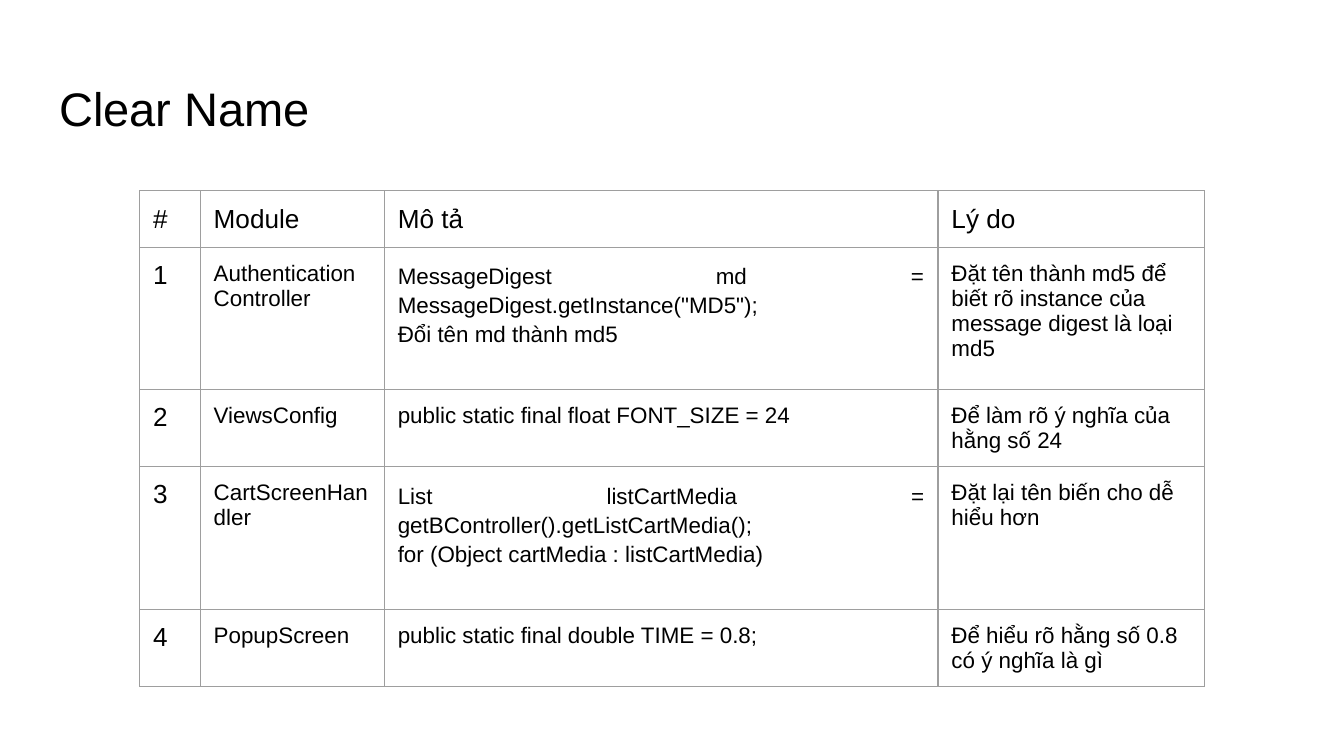
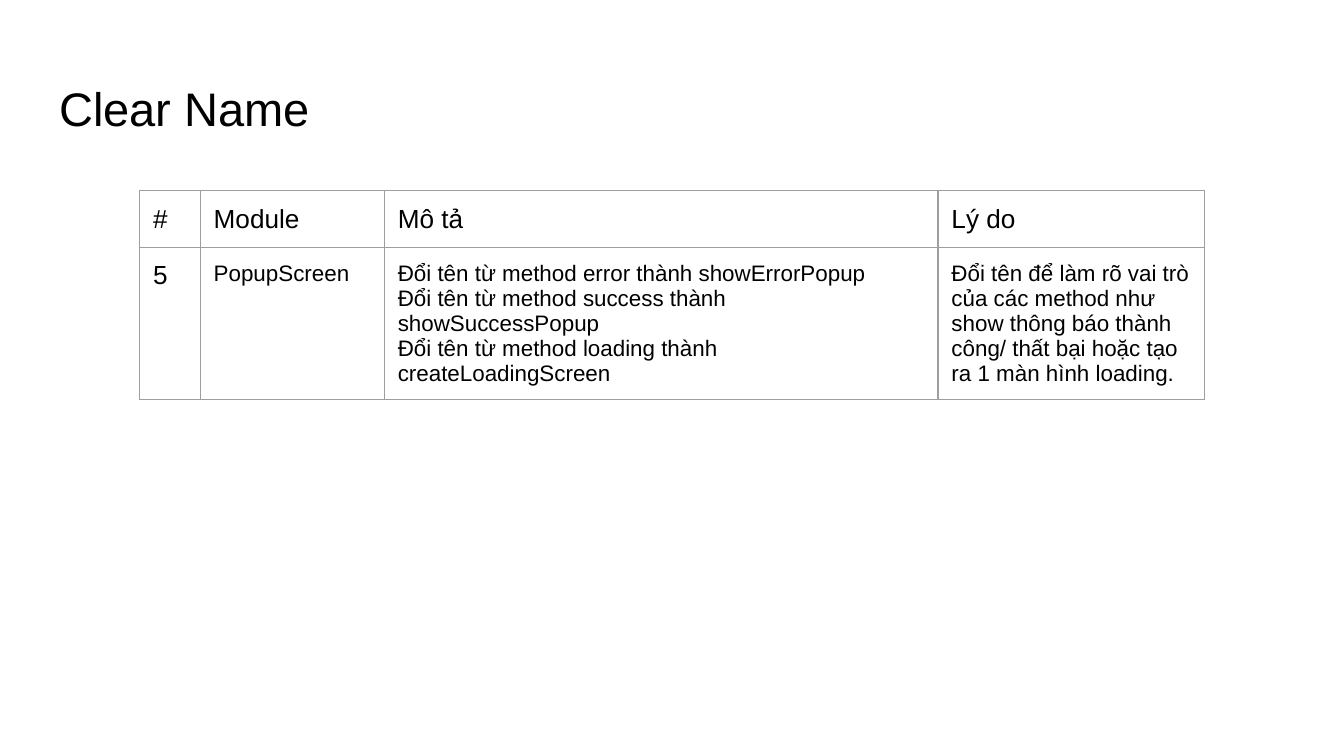
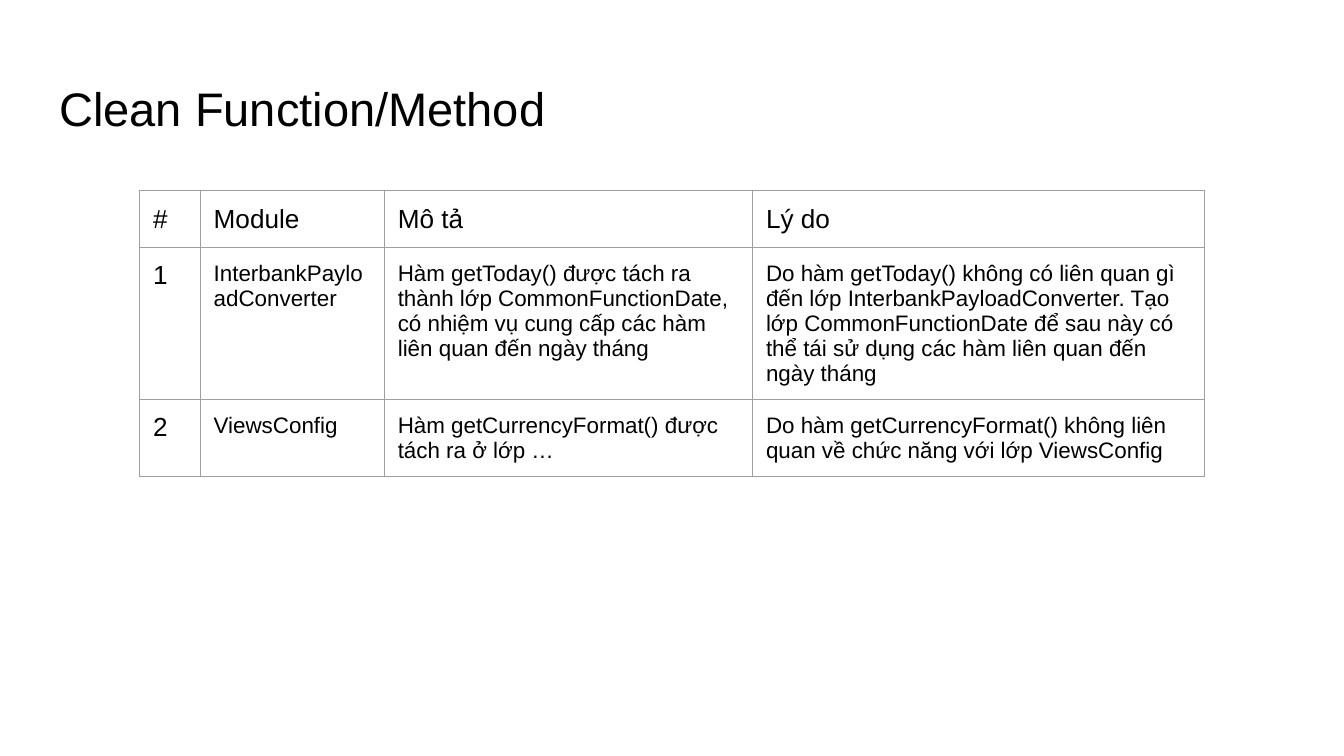
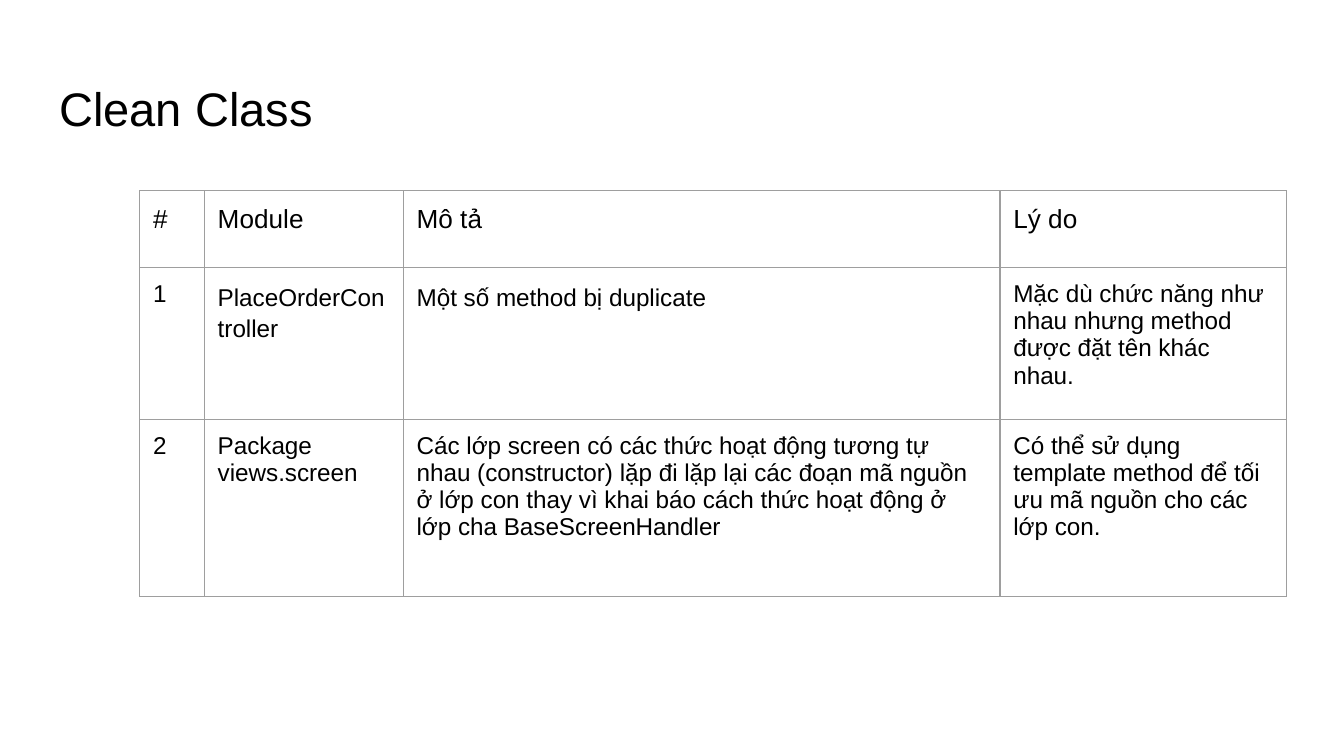
import pptx
import pptx.dml.color
import pptx.enum.text
import pptx.oxml
import pptx.oxml.ns
import pptx.util

Inches = pptx.util.Inches
Pt = pptx.util.Pt
PP_ALIGN = pptx.enum.text.PP_ALIGN

BLACK = pptx.dml.color.RGBColor(0x00, 0x00, 0x00)
BORDER_GRAY = pptx.dml.color.RGBColor(0x9E, 0x9E, 0x9E)
FONT = "Arial"
TITLE_SIZE = 25.2
HEADER_SIZE = 14
INSET = 0.1
SLIDE_WIDTH = 10
SLIDE_HEIGHT = SLIDE_WIDTH * 9 / 16
TITLE_BOX = (0.34, 0.49, 9.32, 0.63)
TABLE_CORNER = (1.04, 1.42)
TITLE_ONLY_LAYOUT = 5
HEADER = ["#", "Module", "Mô tả", "Lý do"]

NAME_COLUMNS = [0.45, 1.37, 4.12, 1.98]

SLIDES = [
    {
        "title": "Clear Name",
        "columns": NAME_COLUMNS,
        "heights": [0.42, 1.06, 0.42, 1.06, 0.42],
        "spaced_cells": {(1, 2), (3, 2)},
        "spaced_alignment": PP_ALIGN.JUSTIFY,
        "rows": [
            ["1", "AuthenticationController",
             "MessageDigest md = MessageDigest.getInstance(\"MD5\");\nĐổi tên md thành md5",
             "Đặt tên thành md5 để biết rõ instance của message digest là loại md5"],
            ["2", "ViewsConfig", "public static final float FONT_SIZE = 24",
             "Để làm rõ ý nghĩa của hằng số 24"],
            ["3", "CartScreenHandler",
             "List listCartMedia = getBController().getListCartMedia();\n"
             "for (Object cartMedia : listCartMedia)",
             "Đặt lại tên biến cho dễ hiểu hơn"],
            ["4", "PopupScreen", "public static final double TIME = 0.8;",
             "Để hiểu rõ hằng số 0.8 có ý nghĩa là gì"],
        ],
    },
    {
        "title": "Clear Name",
        "columns": NAME_COLUMNS,
        "heights": [0.42, 0.42],
        "rows": [
            ["5", "PopupScreen",
             "Đổi tên từ method error thành showErrorPopup\n"
             "Đổi tên từ method success thành showSuccessPopup\n"
             "Đổi tên từ method loading thành createLoadingScreen",
             "Đổi tên để làm rõ vai trò của các method như show thông báo thành công/ "
             "thất bại hoặc tạo ra 1 màn hình loading."],
        ],
    },
    {
        "title": "Clean Function/Method",
        "columns": [0.45, 1.37, 2.74, 3.36],
        "heights": [0.42, 0.42, 0.42],
        "rows": [
            ["1", "InterbankPayloadConverter",
             "Hàm getToday() được tách ra thành lớp CommonFunctionDate, "
             "có nhiệm vụ cung cấp các hàm liên quan đến ngày tháng",
             "Do hàm getToday() không có liên quan gì đến lớp InterbankPayloadConverter. "
             "Tạo lớp CommonFunctionDate để sau này có thể tái sử dụng các hàm "
             "liên quan đến ngày tháng"],
            ["2", "ViewsConfig", "Hàm getCurrencyFormat() được tách ra ở lớp …",
             "Do hàm getCurrencyFormat() không liên quan về chức năng với lớp ViewsConfig"],
        ],
    },
    {
        "title": "Clean Class",
        "columns": [0.48, 1.48, 4.44, 2.13],
        "heights": [0.57, 1.13, 1.32],
        "number_size": 13,
        "body_size": 13,
        "spaced_cells": {(1, 1), (1, 2)},
        "rows": [
            ["1", "PlaceOrderController", "Một số method bị duplicate",
             "Mặc dù chức năng như nhau nhưng method được đặt tên khác nhau."],
            ["2", "Package views.screen",
             "Các lớp screen có các thức hoạt động tương tự nhau (constructor) lặp đi lặp lại "
             "các đoạn mã nguồn ở lớp con thay vì khai báo cách thức hoạt động ở lớp cha "
             "BaseScreenHandler",
             "Có thể sử dụng template method để tối ưu mã nguồn cho các lớp con."],
        ],
    },
]


def format_text(text_frame, size, alignment=PP_ALIGN.LEFT, line_spacing=None):
    for paragraph in text_frame.paragraphs:
        paragraph.alignment = alignment
        paragraph.line_spacing = line_spacing
        for run in paragraph.runs:
            run.font.name = FONT
            run.font.size = Pt(size)
            run.font.color.rgb = BLACK


def set_insets(target):
    for side in ("left", "top", "right", "bottom"):
        setattr(target, f"margin_{side}", Inches(INSET))


def add_borders(cell):
    properties = cell._tc.get_or_add_tcPr()
    namespace = pptx.oxml.ns.nsdecls("a")
    for side in ("lnL", "lnR", "lnT", "lnB"):
        properties.append(pptx.oxml.parse_xml(
            f'<a:{side} {namespace} w="{Pt(0.75)}"><a:solidFill>'
            f'<a:srgbClr val="{BORDER_GRAY}"/></a:solidFill></a:{side}>'))


def place_title(slide, text, box):
    title = slide.shapes.title
    title.left, title.top, title.width, title.height = map(Inches, box)
    text_frame = title.text_frame
    text_frame.text = text
    text_frame.word_wrap = True
    text_frame.auto_size = pptx.enum.text.MSO_AUTO_SIZE.NONE
    text_frame.vertical_anchor = pptx.enum.text.MSO_ANCHOR.TOP
    set_insets(text_frame)
    format_text(text_frame, TITLE_SIZE)


def place_review_table(slide, corner, columns, heights, rows, number_size=14, body_size=12,
                       spaced_cells=(), spaced_alignment=PP_ALIGN.LEFT):
    left, top = corner
    table = slide.shapes.add_table(
        len(heights), len(columns), Inches(left), Inches(top),
        Inches(sum(columns)), Inches(sum(heights))).table
    table.first_row = False
    table.horz_banding = False
    for column, width in zip(table.columns, columns):
        column.width = Inches(width)
    for row, height in zip(table.rows, heights):
        row.height = Inches(height)
    for row_index, texts in enumerate([HEADER] + rows):
        for column_index, text in enumerate(texts):
            cell = table.cell(row_index, column_index)
            cell.text_frame.text = text
            set_insets(cell)
            add_borders(cell)
            cell.fill.background()
            if row_index == 0:
                size = HEADER_SIZE
            else:
                size = number_size if column_index == 0 else body_size
            if (row_index, column_index) in spaced_cells:
                format_text(cell.text_frame, size, spaced_alignment, 1.15)
            else:
                format_text(cell.text_frame, size)


def build_review_slide(presentation, title, **table_content):
    slide = presentation.slides.add_slide(presentation.slide_layouts[TITLE_ONLY_LAYOUT])
    place_title(slide, title, TITLE_BOX)
    place_review_table(slide, TABLE_CORNER, **table_content)


def main():
    presentation = pptx.Presentation()
    presentation.slide_width = Inches(SLIDE_WIDTH)
    presentation.slide_height = Inches(SLIDE_HEIGHT)
    for content in SLIDES:
        build_review_slide(presentation, **content)
    presentation.save("out.pptx")


if __name__ == "__main__":
    main()
